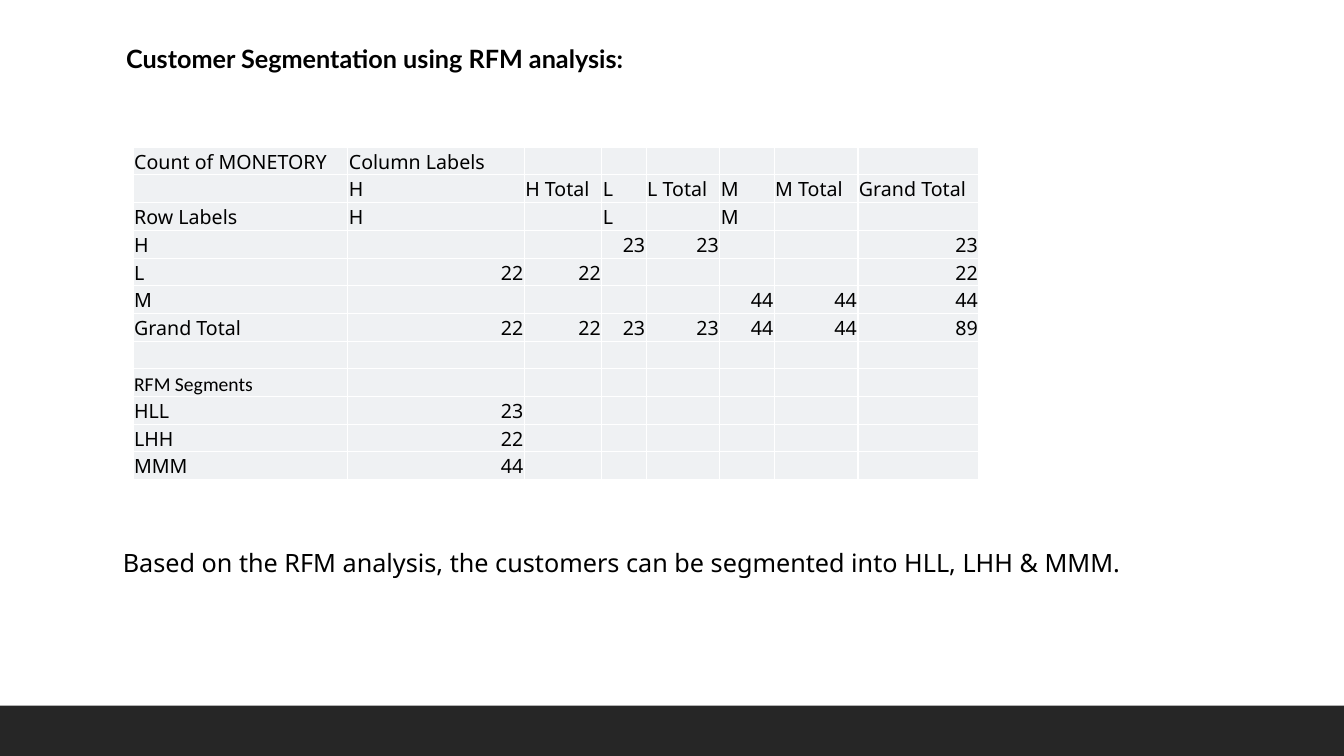
from dataclasses import dataclass

from lxml import etree
from pptx import Presentation
from pptx import util as u
from pptx.dml.color import RGBColor
from pptx.enum import shapes, text
from pptx.oxml import ns

COLORS = {"text": "000000", "cell": "EFF1F3", "border": "FFFFFF", "footer": "262626"}
BODY_FONT = "Noto Sans"
CELL_SIZE = 14


@dataclass
class Box:
    left: float
    top: float
    width: float
    height: float

    def lengths(self) -> tuple:
        return tuple(u.Inches(n) for n in (self.left, self.top, self.width, self.height))


TITLE_BOX = Box(1.15, 0.38, 11.02, 1.01)
TABLE_BOX = Box(1.32, 1.46, 8.39, 3.28)
CONCLUSION_BOX = Box(1.12, 5.38, 11.02, 0.4)
FOOTER_BOX = Box(0, 7, 13.33, 0.5)

COLUMN_WIDTHS = [2.13, 1.75, 0.77, 0.44, 0.73, 0.54, 0.83, 1.2]
PIVOT_ROWS = [
    ["Count of MONETORY", "Column Labels"],
    ["", "H", "H Total", "L", "L Total", "M", "M Total", "Grand Total"],
    ["Row Labels", "H", "", "L", "", "M"],
    ["H", "", "", "23", "23", "", "", "23"],
    ["L", "22", "22", "", "", "", "", "22"],
    ["M", "", "", "", "", "44", "44", "44"],
    ["Grand Total", "22", "22", "23", "23", "44", "44", "89"],
    [],
    ["RFM Segments"],
    ["HLL", "23"],
    ["LHH", "22"],
    ["MMM", "44"],
]


def rgb(name: str) -> RGBColor:
    return RGBColor.from_string(COLORS[name])


def write_text(frame, content: str, *, size: float = 18, font: str = BODY_FONT,
               bold: bool = False, align=text.PP_ALIGN.LEFT) -> None:
    frame.word_wrap = True
    paragraph = frame.paragraphs[0]
    paragraph.alignment = align
    run = paragraph.add_run()
    run.text = content
    run.font.size = u.Pt(size)
    run.font.name = font
    run.font.bold = bold
    run.font.color.rgb = rgb("text")


def add_borders(cell) -> None:
    properties = cell._tc.get_or_add_tcPr()
    for position, side in enumerate(("lnL", "lnR", "lnT", "lnB")):
        line = etree.Element(ns.qn(f"a:{side}"), w=str(u.Pt(1)))
        fill = etree.SubElement(line, ns.qn("a:solidFill"))
        etree.SubElement(fill, ns.qn("a:srgbClr"), val=COLORS["border"])
        properties.insert(position, line)


def format_cell(cell, content: str) -> None:
    cell.margin_left = cell.margin_right = cell.margin_top = u.Inches(0.01)
    cell.margin_bottom = 0
    cell.vertical_anchor = text.MSO_ANCHOR.BOTTOM
    cell.fill.solid()
    cell.fill.fore_color.rgb = rgb("cell")
    add_borders(cell)
    if content:
        write_text(
            cell.text_frame, content, size=CELL_SIZE,
            font="Calibri" if content == "RFM Segments" else BODY_FONT,
            align=text.PP_ALIGN.RIGHT if content.isdigit() else text.PP_ALIGN.LEFT)
    else:
        # An empty cell keeps its row low only with its own text size
        etree.SubElement(cell.text_frame.paragraphs[0]._p, ns.qn("a:endParaRPr"),
                         sz=str(CELL_SIZE * 100))


def add_pivot_table(slide) -> None:
    table = slide.shapes.add_table(
        len(PIVOT_ROWS), len(COLUMN_WIDTHS), *TABLE_BOX.lengths()).table
    table.first_row = table.horz_banding = False
    for column, width in zip(table.columns, COLUMN_WIDTHS):
        column.width = u.Inches(width)
    for row, values in zip(table.rows, PIVOT_ROWS):
        row.height = u.Inches(TABLE_BOX.height / len(PIVOT_ROWS))
        padded = values + [""] * (len(COLUMN_WIDTHS) - len(values))
        for cell, content in zip(row.cells, padded):
            format_cell(cell, content)


presentation = Presentation()
presentation.slide_width = u.Inches(13.33)
presentation.slide_height = u.Inches(7.5)
slide = presentation.slides.add_slide(presentation.slide_layouts.get_by_name("Title Only"))

# Footer band
footer = slide.shapes.add_shape(shapes.MSO_SHAPE.RECTANGLE, *FOOTER_BOX.lengths())
footer.shadow.inherit = False
footer.fill.solid()
footer.fill.fore_color.rgb = rgb("footer")
footer.line.fill.background()

# Title
title = slide.shapes.title
title.left, title.top, title.width, title.height = TITLE_BOX.lengths()
title.text_frame.vertical_anchor = text.MSO_ANCHOR.TOP
title.text_frame.auto_size = text.MSO_AUTO_SIZE.NONE
write_text(title.text_frame, "Customer Segmentation using RFM analysis:",
           font="Lato", bold=True)

# Pivot table
add_pivot_table(slide)

# Conclusion
conclusion = slide.shapes.add_textbox(*CONCLUSION_BOX.lengths())
write_text(conclusion.text_frame,
           "Based on the RFM analysis, the customers can be segmented into HLL, LHH & MMM.")

presentation.save("out.pptx")
